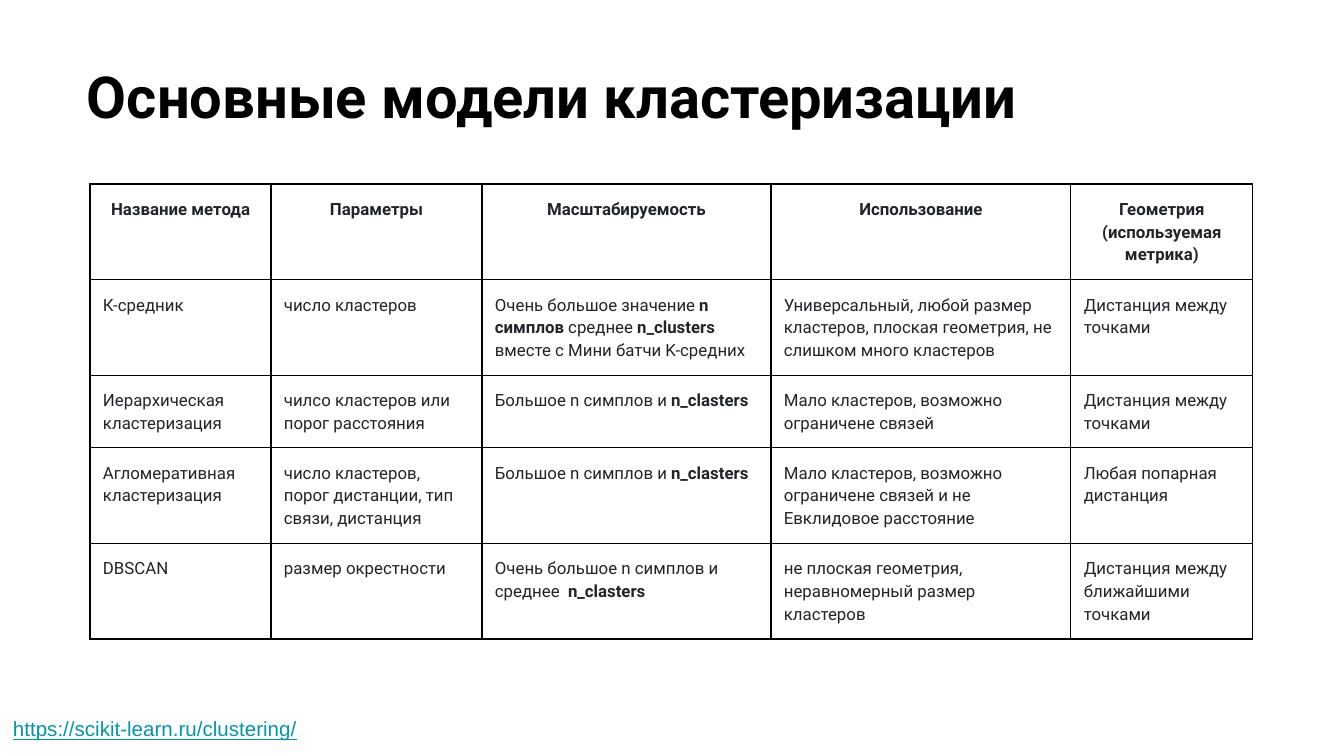
from lxml.etree import SubElement
from pptx import Presentation
from pptx.dml.color import RGBColor
from pptx.enum.text import PP_ALIGN as Align
from pptx.oxml.ns import qn
from pptx.util import Pt

SCALE = 914400 / 134.4
PAD = 13
COLS = [181, 211, 289, 300, 182]
ROWS = [86, 86, 66, 86, 83]
# Text between asterisks is bold.
CELLS = [
    ["*Название метода*", "*Параметры*", "*Масштабируемость*",
     "*Использование*", "*Геометрия (используемая метрика)*"],
    ["К-средник", "число кластеров",
     "Очень большое значение *n симплов *среднее *n_clusters *"
     "вместе с Мини батчи K-средних",
     "Универсальный, любой размер кластеров, плоская геометрия, "
     "не слишком много кластеров",
     "Дистанция между точками"],
    ["Иерархическая кластеризация", "чилсо кластеров или порог расстояния",
     "Большое n симплов и *n_clasters*",
     "Мало кластеров, возможно ограничене связей",
     "Дистанция между точками"],
    ["Агломеративная кластеризация",
     "число кластеров, порог дистанции, тип связи, дистанция",
     "Большое n симплов и *n_clasters*",
     "Мало кластеров, возможно ограничене связей и не Евклидовое расстояние",
     "Любая попарная дистанция"],
    ["DBSCAN", "размер окрестности",
     "Очень большое n симплов и среднее  *n_clasters*",
     "не плоская геометрия, неравномерный размер кластеров",
     "Дистанция между ближайшими точками"],
]


def px(n):
    return round(n * SCALE)


def color(code):
    return RGBColor.from_string(code)


def write(frame, text, size=9, font="Roboto", ink="212529",
          line=False, align=Align.LEFT, lead=None):
    frame.word_wrap = True
    frame.margin_left = frame.margin_right = px(PAD)
    frame.margin_top = frame.margin_bottom = px(PAD)
    para = frame.paragraphs[0]
    para.alignment = align
    para.line_spacing = lead
    for i, part in enumerate(text.split("*")):
        if part:
            run = para.add_run()
            run.text = part
            run.font.size = Pt(size)
            run.font.name = font
            run.font.bold = i % 2 == 1
            run.font.underline = line
            run.font.color.rgb = color(ink)


def add_text(slide, box, text, **style):
    shape = slide.shapes.add_textbox(*map(px, box))
    write(shape.text_frame, text, **style)


def frame_cell(cell):
    """Draw a thin black border on all sides and leave the cell unfilled."""
    props = cell._tc.get_or_add_tcPr()
    for side in ("lnL", "lnR", "lnT", "lnB"):
        edge = SubElement(props, qn(f"a:{side}"), w=str(Pt(0.75)))
        fill = SubElement(edge, qn("a:solidFill"))
        SubElement(fill, qn("a:srgbClr"), val="000000")
    cell.fill.background()


def add_grid(slide, left, top):
    size = map(px, (left, top, sum(COLS), sum(ROWS)))
    table = slide.shapes.add_table(len(ROWS), len(COLS), *size).table
    table.first_row = table.horz_banding = False
    for col, width in zip(table.columns, COLS):
        col.width = px(width)
    for r, (row, high) in enumerate(zip(table.rows, ROWS)):
        row.height = px(high)
        for cell, text in zip(row.cells, CELLS[r]):
            write(cell.text_frame, text, lead=1.15,
                  align=Align.LEFT if r else Align.CENTER)
            cell.margin_left = cell.margin_right = px(PAD)
            cell.margin_top = cell.margin_bottom = px(PAD)
            frame_cell(cell)


def main():
    deck = Presentation()
    deck.slide_width, deck.slide_height = px(1344), px(756)
    slide = deck.slides.add_slide(deck.slide_layouts[6])
    add_text(slide, (74, 48, 1253, 161), "*Основные модели кластеризации*",
             size=31, ink="000000")
    add_grid(slide, 90, 184)
    add_text(slide, (0, 704, 441, 52), "https://scikit-learn.ru/clustering/",
             size=11, font="Arial", ink="0097A7", line=True)
    deck.save("out.pptx")


if __name__ == "__main__":
    main()
